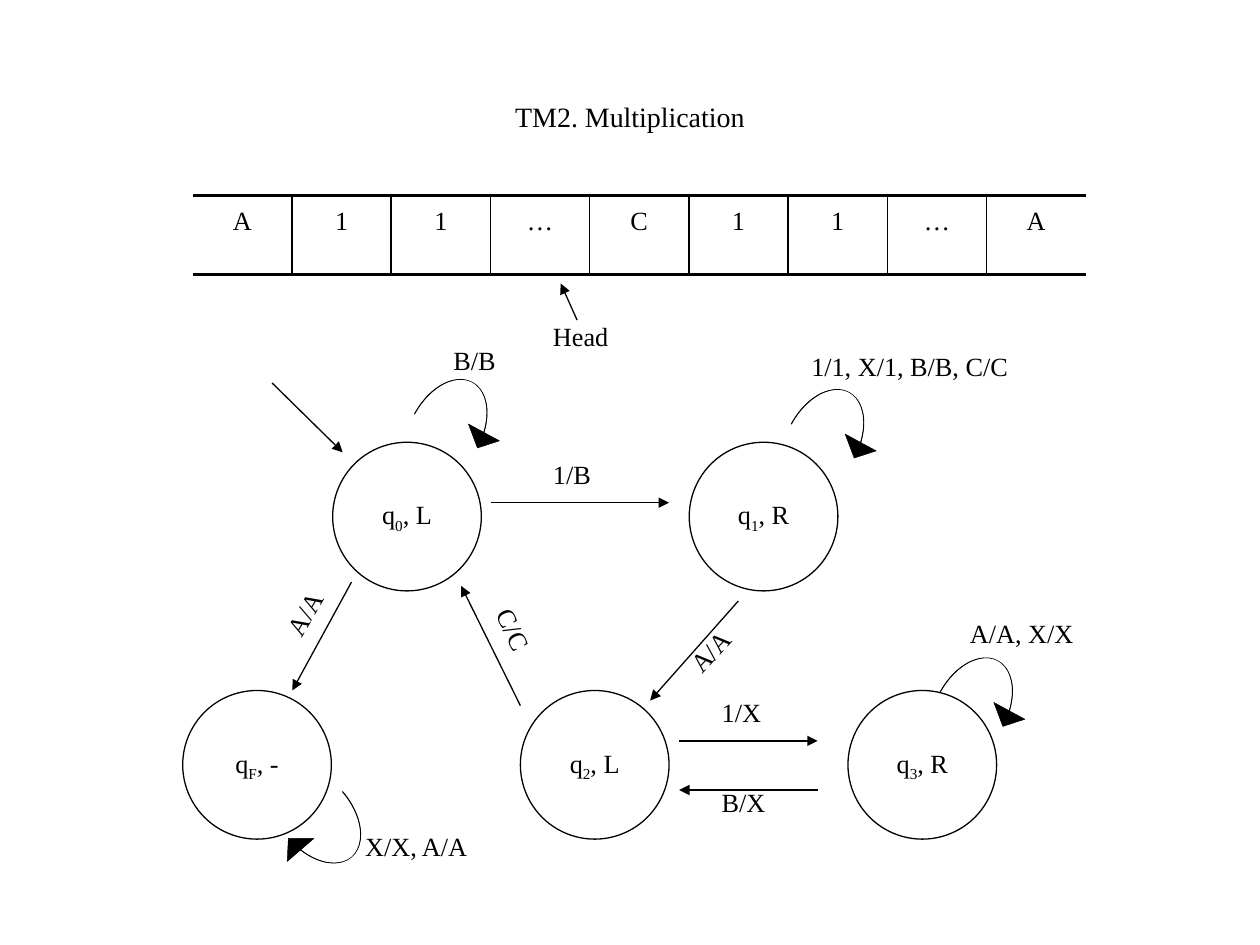
from lxml.etree import SubElement
from pptx import Presentation
from pptx.dml.color import RGBColor
from pptx.enum.shapes import MSO_CONNECTOR, MSO_SHAPE
from pptx.enum.text import MSO_ANCHOR, PP_ALIGN
from pptx.oxml.ns import qn
from pptx.util import Inches, Pt

BLACK = "000000"
FONT = {"name": "Times New Roman", "size": Pt(15)}
DIAMETER = 1.18
TOP_ROW, BOTTOM_ROW = 3.51, 5.48


def color(value):
    return RGBColor.from_string(value)


def write(frame, parts, align, **changes):
    paragraph = frame.paragraphs[0]
    paragraph.alignment = align
    for index, text in enumerate(parts):
        run = paragraph.add_run()
        run.text = text
        for name, value in {**FONT, **changes}.items():
            setattr(run.font, name, value)
        run.font.color.rgb = color(BLACK)
        if index == 1:
            run.font._element.set("baseline", "-25000")


presentation = Presentation()
presentation.slide_width, presentation.slide_height = Inches(10), Inches(7.5)
slide = presentation.slides.add_slide(presentation.slide_layouts[6])
shapes = slide.shapes

title = shapes.add_textbox(Inches(0.5), Inches(0.3), Inches(9), Inches(1.25))
title.text_frame.word_wrap = True
title.text_frame.vertical_anchor = MSO_ANCHOR.MIDDLE
write(title.text_frame, ["TM2. Multiplication"], PP_ALIGN.CENTER, size=Pt(16))

states = [
    ("0", ", L", 2.64, TOP_ROW),
    ("1", ", R", 5.47, TOP_ROW),
    ("F", ", -", 1.45, BOTTOM_ROW),
    ("2", ", L", 4.13, BOTTOM_ROW),
    ("3", ", R", 6.73, BOTTOM_ROW),
]
for subscript, move, left, top in states:
    state = shapes.add_shape(MSO_SHAPE.OVAL, Inches(left), Inches(top), Inches(DIAMETER), Inches(DIAMETER))
    state.shadow.inherit = False
    state.fill.background()
    state.line.color.rgb = color(BLACK)
    state.line.width = Pt(0.75)
    state.text_frame.word_wrap = False
    state.text_frame.vertical_anchor = MSO_ANCHOR.MIDDLE
    write(state.text_frame, ["q", subscript, move], PP_ALIGN.CENTER)

arrows = [
    (2.79, 4.62, 2.32, 5.48),
    (3.9, 3.99, 5.31, 3.99),
    (4.13, 5.6, 3.66, 4.65),
    (5.86, 4.77, 5.16, 5.56),
    (5.39, 5.88, 6.49, 5.88),
    (6.49, 6.27, 5.39, 6.27),
    (2.16, 3.04, 2.72, 3.59),
    (4.58, 2.54, 4.45, 2.25),
]
for points in arrows:
    arrow = shapes.add_connector(MSO_CONNECTOR.STRAIGHT, *map(Inches, points))
    arrow.line.color.rgb = color(BLACK)
    arrow.line.width = Pt(0.75)
    SubElement(arrow.line._get_or_add_ln(), qn("a:tailEnd"), type="triangle")
    SubElement(arrow._element.spPr, qn("a:effectLst"))

labels = [
    ("1/B", 4.29, 3.59, 0.63, 0),
    ("A/A", 5.34, 4.96, 0.65, 312.7),
    ("C/C", 3.76, 4.9, 0.71, 64.3),
    ("B/X", 5.63, 6.19, 0.63, 0),
    ("A/A", 2.1, 4.63, 0.7, 300.4),
    ("1/X", 5.63, 5.48, 0.63, 0),
    ("A/A, X/X", 7.6, 4.85, 1.34, 0),
    ("1/1, X/1, B/B, C/C", 6.34, 2.73, 2.52, 0),
    ("B/B", 3.5, 2.68, 0.71, 0),
    ("X/X, A/A", 2.8, 6.54, 1.34, 0),
    ("Head", 4.29, 2.49, 0.71, 0),
]
for text, left, top, width, rotation in labels:
    label = shapes.add_textbox(Inches(left), Inches(top), Inches(width), Inches(0.35))
    label.rotation = rotation
    label.text_frame.word_wrap = True
    write(label.text_frame, [text], PP_ALIGN.LEFT)

loops = [(3.35, 3.04, 28.4), (6.34, 3.12, 28.4), (2.24, 6.46, 139.3), (7.52, 5.25, 28.4)]
for left, top, rotation in loops:
    loop = shapes.add_shape(MSO_SHAPE.CURVED_DOWN_ARROW, Inches(left), Inches(top), Inches(0.71), Inches(0.44))
    loop.shadow.inherit = False
    loop.rotation = rotation
    for index, value in enumerate((0.01, 0.637, 0.303)):
        loop.adjustments[index] = value
    loop.fill.solid()
    loop.fill.fore_color.rgb = color(BLACK)
    loop.line.color.rgb = color(BLACK)
    loop.line.width = Pt(0.25)

symbols = ["A", "1", "1", "…", "C", "1", "1", "…", "A"]
tape = shapes.add_table(1, len(symbols), Inches(1.53), Inches(1.55), Inches(7.09), Inches(0.63)).table
tape.first_row = tape.horz_banding = False
for column, symbol in enumerate(symbols):
    cell = tape.cell(0, column)
    write(cell.text_frame, [symbol], PP_ALIGN.CENTER)
    cell.text_frame.paragraphs[0].line_spacing = 1.2
    borders = {
        "a:lnL": 1 if column > 0 else 0,
        "a:lnR": 1 if column < len(symbols) - 1 else 0,
        "a:lnT": 2.25,
        "a:lnB": 2.25,
    }
    for tag, width in borders.items():
        border = SubElement(cell._tc.get_or_add_tcPr(), qn(tag), w=str(Pt(width)))
        if width:
            SubElement(SubElement(border, qn("a:solidFill")), qn("a:srgbClr"), val=BLACK)
        else:
            SubElement(border, qn("a:noFill"))
    cell.fill.background()

presentation.save("out.pptx")
